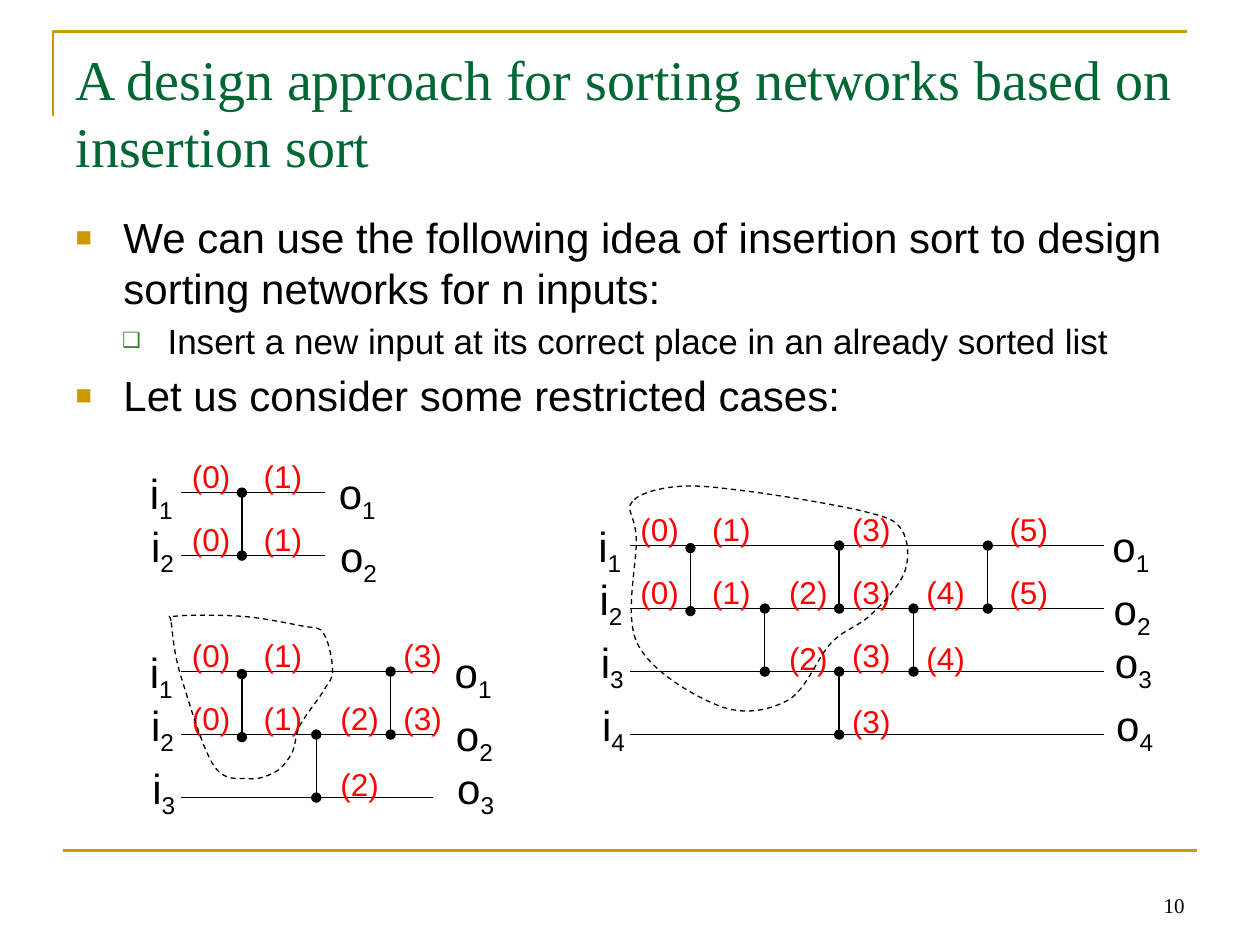
import pptx
import pptx.dml.color
import pptx.enum.dml
import pptx.enum.shapes
import pptx.enum.text
import pptx.oxml.ns
import pptx.util
from lxml import etree

Pt = pptx.util.Pt
qn = pptx.oxml.ns.qn
rgb = pptx.dml.color.RGBColor.from_string
ALIGN = pptx.enum.text.PP_ALIGN
ANCHOR = pptx.enum.text.MSO_ANCHOR
AUTO = pptx.enum.text.MSO_AUTO_SIZE
BLACK, RED, GOLD, GREEN = "000000", "FF0101", "CC9900", "006633"

prs = pptx.Presentation()
prs.slide_width, prs.slide_height = pptx.util.Inches(10), pptx.util.Inches(7.5)
U = prs.slide_width // 1000  # grid of 1000 columns by 750 rows
s = prs.slides.add_slide(prs.slide_layouts[1])


def write(p, text, sub="", color=BLACK, **fmt):
    """Add a run, and a subscript run if there is one."""
    for part, base in ((text, None), (sub, "-25000")):
        if part:
            r = p.add_run()
            r.text = part
            for key, value in {"name": "Arial", **fmt}.items():
                setattr(r.font, key, value)
            r.font.color.rgb = rgb(color)
            if base:
                r._r.get_or_add_rPr().set("baseline", base)


def line(shapes, x1, y1, x2, y2, color=BLACK, width=0.75, dots=False):
    """Add a straight line, with a dot at each end if asked."""
    c = shapes.add_connector(pptx.enum.shapes.MSO_CONNECTOR.STRAIGHT,
                             x1 * U, y1 * U, x2 * U, y2 * U)
    c.line.color.rgb = rgb(color)
    c.line.width = Pt(width)
    if dots:
        for end in ("a:headEnd", "a:tailEnd"):
            etree.SubElement(c.line._get_or_add_ln(), qn(end), type="oval")
    etree.SubElement(c._element.spPr, qn("a:effectLst"))


# Title and body placeholders
title, body = s.shapes.title, s.placeholders[1]
for sp, box in ((title, (50, 30, 900, 125)), (body, (50, 163, 900, 495))):
    sp.left, sp.top, sp.width, sp.height = (v * U for v in box)
    tf = sp.text_frame
    tf.word_wrap, tf.auto_size, tf.vertical_anchor = True, AUTO.NONE, ANCHOR.TOP

p = title.text_frame.paragraphs[0]
p.alignment = ALIGN.LEFT
write(p, "A design approach for sorting networks based on insertion sort",
      color=GREEN, name="Times New Roman", size=Pt(32))

levels = [  # left margin, indent, bullet, bullet colour, bullet percent, text size
    (38, -38, "■", GOLD, 65, 24),
    (73, -36, "❑", "3B812F", 60, 20),
]
points = [
    (0, "We can use the following idea of insertion sort to design sorting networks for n inputs:"),
    (1, "Insert a new input at its correct place in an already sorted list"),
    (0, "Let us consider some restricted cases:"),
]
tf = body.text_frame
for i, (level, text) in enumerate(points):
    left, indent, char, color, percent, size = levels[level]
    p = tf.add_paragraph() if i else tf.paragraphs[0]
    p.level = level
    p.space_before = Pt(0.2 * size if i else 0)
    pPr = p._p.get_or_add_pPr()
    pPr.set("marL", str(left * U))
    pPr.set("indent", str(indent * U))
    clr = etree.SubElement(pPr, qn("a:buClr"))
    etree.SubElement(clr, qn("a:srgbClr"), val=color)
    etree.SubElement(pPr, qn("a:buSzPct"), val=str(percent * 1000))
    etree.SubElement(pPr, qn("a:buFont"), typeface="Arial")
    etree.SubElement(pPr, qn("a:buChar"), char=char)
    write(p, text, size=Pt(size))

# Footer rule and slide number
line(s.shapes, 50, 675, 950, 675, GOLD, 1.5)
tf = s.shapes.add_textbox(717 * U, 683 * U, 233 * U, 50 * U).text_frame
tf.word_wrap, tf.vertical_anchor = True, ANCHOR.BOTTOM
tf.paragraphs[0].alignment = ALIGN.RIGHT
write(tf.paragraphs[0], "10", name="Times New Roman", size=Pt(12))

# Sorting networks: input m is inserted by comparing it with wires m-1, ..., 0
WIRE_GAP = 50       # rows between wires
STAGE_GAP = 59      # columns between comparators of successive stages
LABEL_RISE = 33     # rows from a wire up to its stage label
STAGE_LABEL_X = [34, 91, 152, 202, 261, 327]
networks = [  # inputs, left edge, first wire, wire end, output labels
    (2, 108, 391, 258, 259),
    (3, 108, 533, 344, 351),
    (4, 464, 433, 876, 873),
]
for n, left, first_wire, wire_end, out_x in networks:
    shapes = s.shapes.add_group_shape().shapes
    wires = [first_wire + k * WIRE_GAP for k in range(n)]
    labels = []  # x, y, width, height, text, subscript, colour, size

    # Wires with input and output names; the first ones sit a little lower
    for k, y in enumerate(wires):
        line(shapes, left + 36, y, wire_end, y)
        in_y = y - LABEL_RISE + (8 if k == 0 else 0)
        out_y = y - LABEL_RISE + (8 if k < 2 else 0)
        labels += [(left + k, in_y, 40, 50, "i", str(k + 1), BLACK, 24),
                   (out_x + k - 1, out_y, 51, 50, "o", str(k + 1), BLACK, 24)]

    # Comparators by stage; both wires of each carry its stage number
    stage_marks = [(0, 0, 0), (0, 1, 0)]  # stage, wire, drop
    for m in range(1, n):
        for k in reversed(range(m)):
            stage = 2 * m - 1 - k
            x = left + 25 + stage * STAGE_GAP
            y = wires[k] + (2 if stage == 1 and n > 2 else 0)
            line(shapes, x, y, x, y + WIRE_GAP, dots=True)
            stage_marks += [(stage, k, 0), (stage, k + 1, 2 if k else 0)]
    labels += [(left + STAGE_LABEL_X[stage], wires[k] - LABEL_RISE + drop,
                51, 40, f"({stage})", "", RED, 18)
               for stage, k, drop in stage_marks]

    for x, y, w, h, text, sub, color, size in labels:
        tf = shapes.add_textbox(x * U, y * U, w * U, h * U).text_frame
        tf.word_wrap, tf.auto_size = False, AUTO.SHAPE_TO_FIT_TEXT
        tf.paragraphs[0].alignment = ALIGN.CENTER
        write(tf.paragraphs[0], text, sub, color, size=Pt(size))

# Corner frame, and a dashed loop round the smaller network inside each larger one
corner = [(42, 92), (42, 25), (942, 25)]
loop_round_two = [  # offsets from the left edge and first wire, anticlockwise
    (28, -39), (36, 5), (62, 75), (89, 85), (110, 80), (124, 64), (130, 43),
    (149, 15), (156, -1), (149, -30), (133, -36), (82, -44), (32, -44)]
loop_round_three = [
    (38, -35), (41, -6), (42, 78), (106, 127), (161, 123), (196, 77),
    (226, 56), (254, 21), (252, -12), (222, -27), (130, -43), (76, -47)]
outlines = [(corner, 0, 0, GOLD, 1.5, False)]
for knots, (n, left, first_wire, *ends) in zip((loop_round_two, loop_round_three), networks[1:]):
    outlines.append((knots, left, first_wire, BLACK, 0.75, True))

for knots, dx, dy, color, width, is_loop in outlines:
    knots = [(x + dx, y + dy) for x, y in knots]
    path_points = knots[1:]
    if is_loop:
        # Smooth curve: the tangent at a knot is parallel to the line joining its neighbours
        path_points = []
        for i in range(len(knots)):
            before, start, end, after = (knots[(i + j) % len(knots)] for j in (-1, 0, 1, 2))
            path_points += [
                tuple(round(a + (c - b) / 6) for a, b, c in zip(start, before, end)),
                tuple(round(a - (c - b) / 6) for a, b, c in zip(end, start, after)),
                end]
    fb = s.shapes.build_freeform(*knots[0], scale=U)
    fb.add_line_segments(path_points, close=is_loop)
    sp = fb.convert_to_shape()
    sp.shadow.inherit = False
    sp.fill.background()
    sp.line.color.rgb = rgb(color)
    sp.line.width = Pt(width)
    if is_loop:
        sp.line.dash_style = pptx.enum.dml.MSO_LINE.DASH
        # Two control points and an end point make one cubic curve
        segments = list(sp._element.iter(qn("a:lnTo")))
        for i in range(0, len(path_points), 3):
            curve = etree.Element(qn("a:cubicBezTo"))
            segments[i].addprevious(curve)
            for seg in segments[i:i + 3]:
                curve.append(seg[0])
                seg.getparent().remove(seg)

prs.save("out.pptx")
